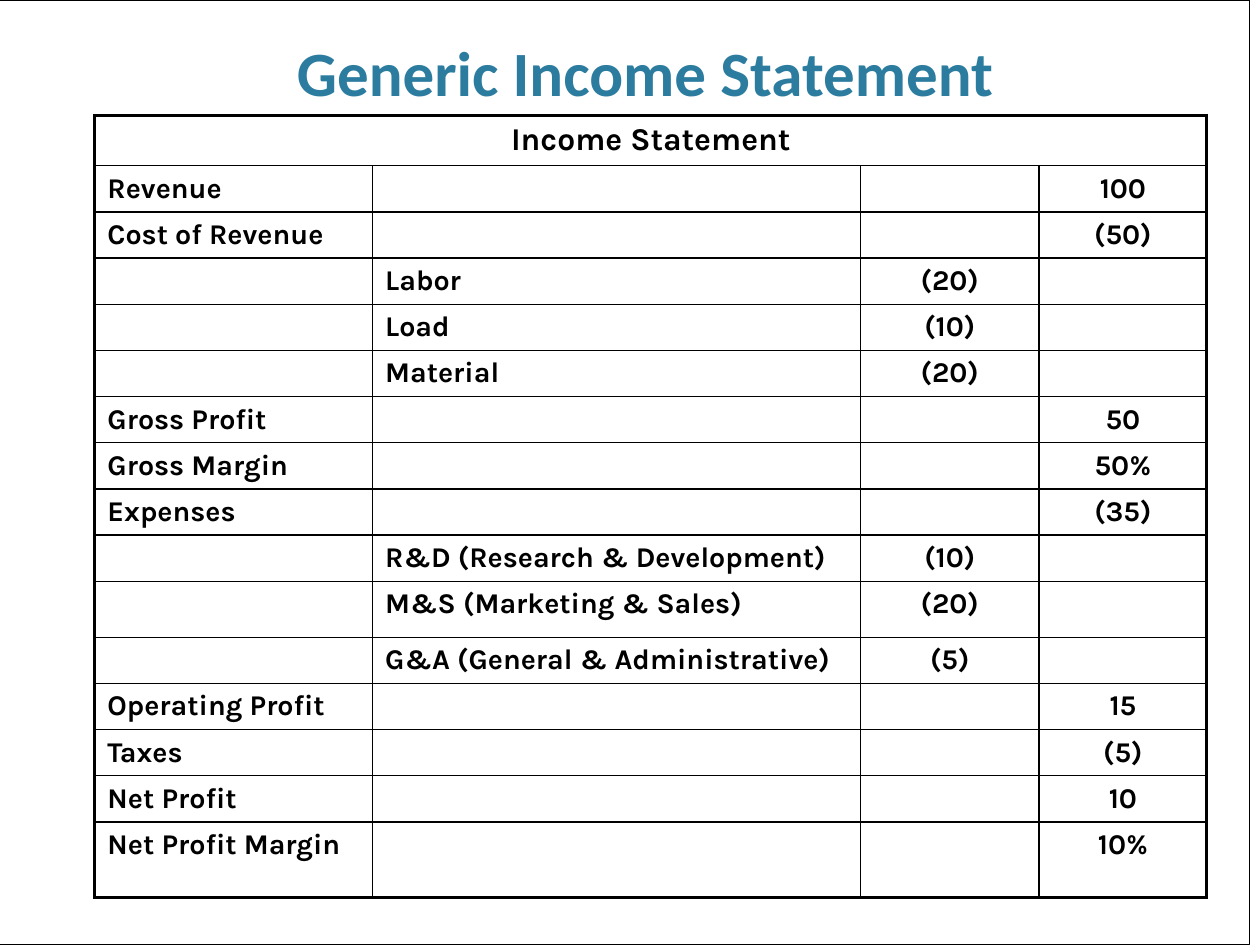
from lxml import etree
from pptx import Presentation
from pptx.dml.color import RGBColor
from pptx.enum.shapes import MSO_SHAPE
from pptx.enum.text import MSO_ANCHOR, PP_ALIGN
from pptx.oxml.ns import qn
from pptx.util import Cm, Inches, Pt

RECTANGLE = MSO_SHAPE.RECTANGLE
TOP, BOTTOM = MSO_ANCHOR.TOP, MSO_ANCHOR.BOTTOM
LEFT, CENTER = PP_ALIGN.LEFT, PP_ALIGN.CENTER

SLIDE_WIDTH, SLIDE_HEIGHT = Cm(28), Cm(21)
TITLE_ONLY = 5
COLORS = {"paper": "FFFFFF", "ink": "000000", "title": "2C7C9F"}
OUTER_LINE, INNER_LINE = 2.25, 1

COLUMN_WIDTHS = [2.43, 4.27, 1.56, 1.47]
ROW_HEIGHT = 0.4
SPECIAL_HEIGHTS = {0: 0.44, 10: 0.49, 15: 0.66}

# Label, amount, and whether the line is a detail of the one above
STATEMENT = [
    ("Revenue", "100", False),
    ("Cost of Revenue", "(50)", False),
    ("Labor", "(20)", True),
    ("Load", "(10)", True),
    ("Material", "(20)", True),
    ("Gross Profit", "50", False),
    ("Gross Margin", "50%", False),
    ("Expenses", "(35)", False),
    ("R&D (Research & Development)", "(10)", True),
    ("M&S (Marketing & Sales)", "(20)", True),
    ("G&A (General & Administrative)", "(5)", True),
    ("Operating Profit", "15", False),
    ("Taxes", "(5)", False),
    ("Net Profit", "10", False),
    ("Net Profit Margin", "10%", False),
]


def color(name):
    return RGBColor.from_string(COLORS[name])


def write_text(frame, text, font="Karla", size=18, ink="ink", align=LEFT):
    paragraph = frame.paragraphs[0]
    paragraph.alignment = align
    if not text:
        # Keeps an empty cell from growing taller than its row
        etree.SubElement(paragraph._p, qn("a:endParaRPr"), sz=str(size * 50))
        return
    run = paragraph.add_run()
    run.text = text
    run.font.name = font
    run.font.size = Pt(size)
    run.font.bold = True
    run.font.color.rgb = color(ink)


def set_margins(box):
    box.margin_left = box.margin_right = Cm(0.28)
    box.margin_top = box.margin_bottom = Cm(0.14)


def set_borders(cell, **line_widths):
    """Draw the sides given as L, R, T, B, in that order."""
    properties = cell._tc.get_or_add_tcPr()
    for side, width in line_widths.items():
        line = etree.SubElement(properties, qn(f"a:ln{side}"), w=str(Pt(width)))
        fill = etree.SubElement(line, qn("a:solidFill"))
        etree.SubElement(fill, qn("a:srgbClr"), val=COLORS["ink"])


class StatementSlide:
    def __init__(self, presentation):
        layout = presentation.slide_layouts[TITLE_ONLY]
        self.slide = presentation.slides.add_slide(layout)
        self.slide.background.fill.solid()
        self.slide.background.fill.fore_color.rgb = color("paper")

    def add_frame(self, left, top, width, height):
        """Add a bordered page behind everything else."""
        shapes = self.slide.shapes
        page = shapes.add_shape(RECTANGLE, left, top, width, height)
        page.shadow.inherit = False
        page.fill.solid()
        page.fill.fore_color.rgb = color("paper")
        page.line.color.rgb = color("ink")
        page.line.width = Pt(0.75)
        shapes.title._element.addprevious(page._element)

    def add_title(self, text, left, top, width, height):
        title = self.slide.shapes.title
        title.left, title.top = Inches(left), Inches(top)
        title.width, title.height = Inches(width), Inches(height)
        frame = title.text_frame
        frame.word_wrap = True
        frame.vertical_anchor = BOTTOM
        set_margins(frame)
        write_text(frame, text, font="Calibri", size=39.7, ink="title", align=CENTER)

    def add_statement(self, heading, lines, left, top):
        row_count, column_count = len(lines) + 1, len(COLUMN_WIDTHS)
        heights = [SPECIAL_HEIGHTS.get(row, ROW_HEIGHT) for row in range(row_count)]
        table = self.slide.shapes.add_table(
            row_count, column_count, Inches(left), Inches(top),
            Inches(sum(COLUMN_WIDTHS)), Inches(sum(heights))).table
        table.first_row = table.horz_banding = False
        for column, width in zip(table.columns, COLUMN_WIDTHS):
            column.width = Inches(width)
        for row, height in zip(table.rows, heights):
            row.height = Inches(height)

        texts = {(0, 0): heading}
        for row, (label, amount, is_detail) in enumerate(lines, start=1):
            texts[row, 1 if is_detail else 0] = label
            texts[row, 2 if is_detail else 3] = amount

        table.cell(0, 0).merge(table.cell(0, column_count - 1))
        for row in range(row_count):
            for column in range(column_count):
                is_heading = row == 0
                cell = table.cell(row, column)
                cell.vertical_anchor = TOP
                set_margins(cell)
                write_text(cell.text_frame, texts.get((row, column), ""),
                           size=20 if is_heading else 18,
                           align=CENTER if is_heading or column >= 2 else LEFT)
                at_right = is_heading or column == column_count - 1
                set_borders(cell,
                            L=OUTER_LINE if column == 0 else INNER_LINE,
                            R=OUTER_LINE if at_right else INNER_LINE,
                            T=OUTER_LINE if is_heading else INNER_LINE,
                            B=OUTER_LINE if row == row_count - 1 else INNER_LINE)
                cell.fill.background()


def main():
    presentation = Presentation()
    presentation.slide_width = SLIDE_WIDTH
    presentation.slide_height = SLIDE_HEIGHT
    page = StatementSlide(presentation)
    page.add_frame(Inches(-0.09), 0, SLIDE_WIDTH, SLIDE_HEIGHT)
    page.add_title("Generic Income Statement", 0.83, -0.09, 9.63, 1.1)
    page.add_statement("Income Statement", STATEMENT, 0.83, 1.01)
    presentation.save("out.pptx")


if __name__ == "__main__":
    main()
